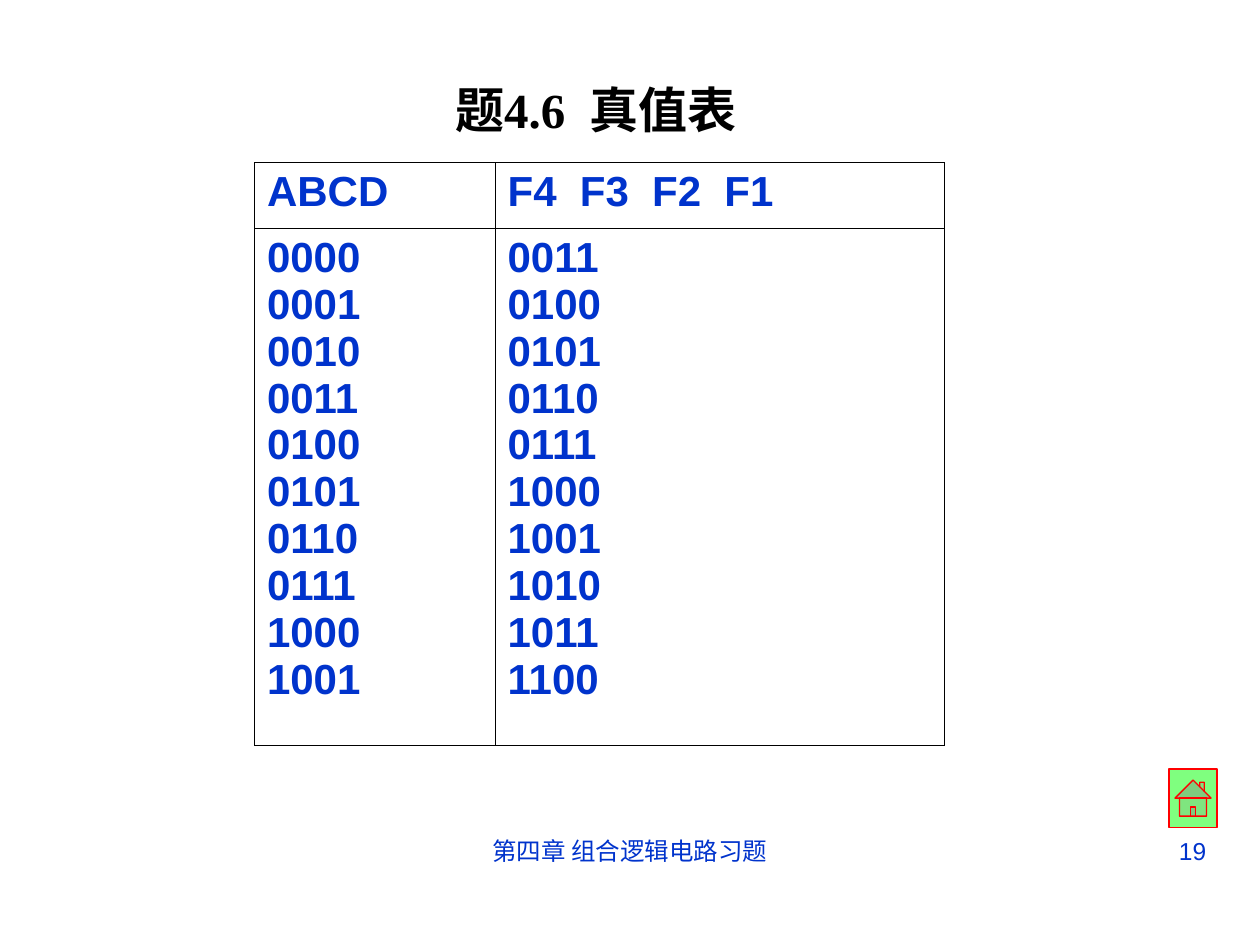
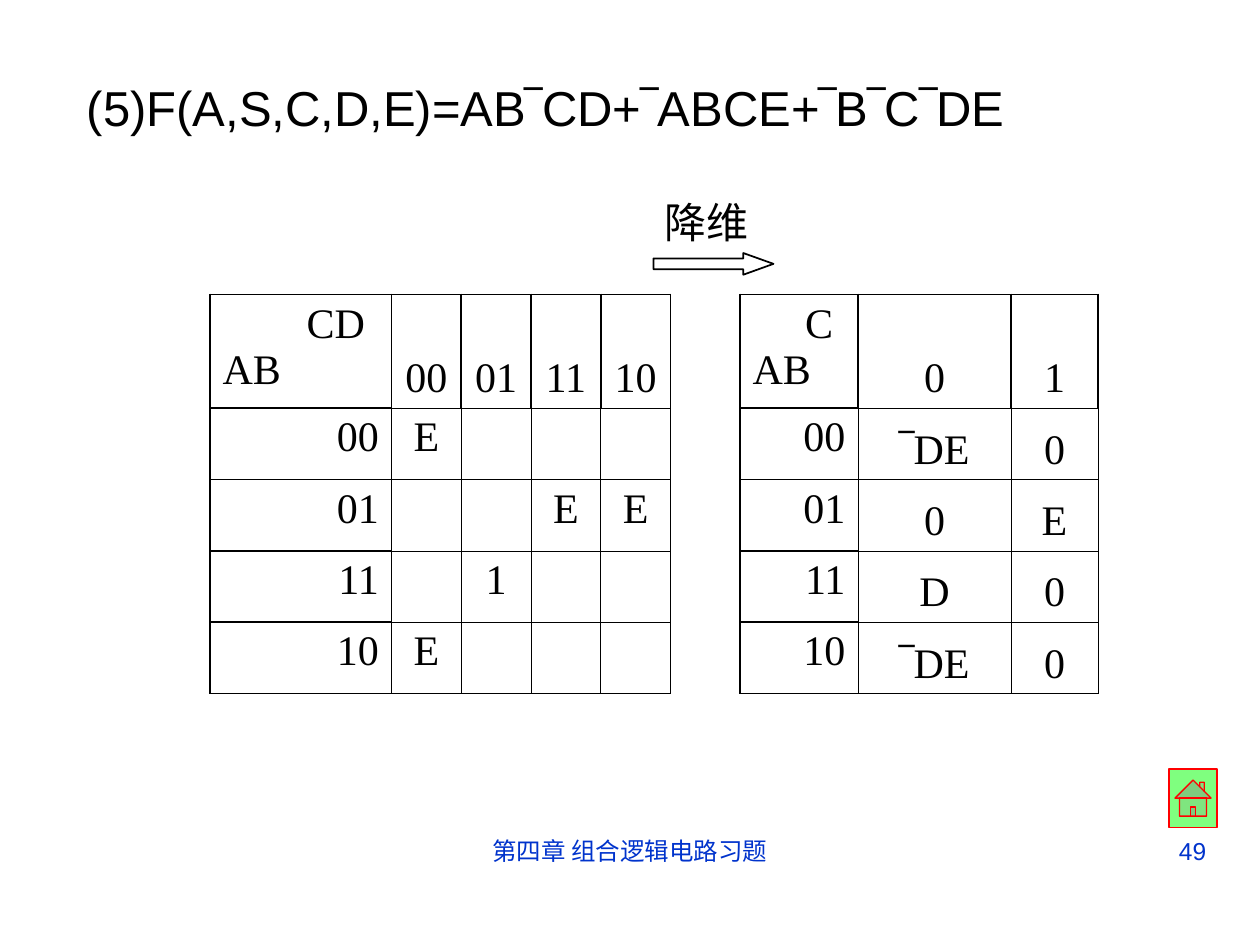
"""Build two exercise slides: a truth table and a Karnaugh map reduction."""
from lxml import etree
from pptx import Presentation
from pptx.dml.color import RGBColor
from pptx.enum.shapes import MSO_SHAPE
from pptx.enum.text import MSO_ANCHOR, MSO_AUTO_SIZE, PP_ALIGN
from pptx.oxml.ns import qn
from pptx.util import Pt

LEFT, CENTER, RIGHT = PP_ALIGN.LEFT, PP_ALIGN.CENTER, PP_ALIGN.RIGHT
TOP, MIDDLE, BOTTOM = MSO_ANCHOR.TOP, MSO_ANCHOR.MIDDLE, MSO_ANCHOR.BOTTOM
NO_FIT = MSO_AUTO_SIZE.NONE
HOME, ARROW = MSO_SHAPE.ACTION_BUTTON_HOME, MSO_SHAPE.RIGHT_ARROW
BLACK = RGBColor(0, 0, 0)
WHITE = RGBColor(255, 255, 255)
BLUE = RGBColor(0, 0x33, 0xCC)
GREEN = RGBColor(0, 255, 0)
RED = RGBColor(255, 0, 0)
SANS, SERIF = "Arial", "Times New Roman"
THIN, THICK = 0.45, 1.08


def add_run(p, text, size, font, color, bold=False, align=LEFT):
    p.alignment = align
    r = p.add_run()
    r.text = text
    r.font.size = Pt(size)
    r.font.name = font
    r.font.bold = bold
    r.font.color.rgb = color


def set_borders(cell, left, right, top, bottom):
    tcPr = cell._tc.get_or_add_tcPr()
    for side, width in zip("LRTB", (left, right, top, bottom)):
        ln = etree.SubElement(tcPr, qn(f"a:ln{side}"), w=str(int(Pt(width))))
        if width:
            fill = etree.SubElement(ln, qn("a:solidFill"))
            etree.SubElement(fill, qn("a:srgbClr"), val=str(BLACK))
        else:
            etree.SubElement(ln, qn("a:noFill"))
    cell.fill.background()


prs = Presentation()
prs.slide_width, prs.slide_height = Pt(720), Pt(540)

pages = [
    ("题4.6  真值表", SERIF, True, CENTER, TOP, (230.5, 41.8, 220, 41), "19"),
    ("(5)F(A,S,C,D,E)=AB‾CD+‾ABCE+‾B‾C‾DE", SANS, False, LEFT, MIDDLE,
     (42.5, 40.3, 580, 41), "49"),
]
for title, font, bold, align, anchor, box, number in pages:
    s = prs.slides.add_slide(prs.slide_layouts[5])
    sp = s.shapes.title
    sp.left, sp.top, sp.width, sp.height = map(Pt, box)
    tf = sp.text_frame
    tf.word_wrap = True
    tf.auto_size = NO_FIT
    tf.vertical_anchor = anchor
    add_run(tf.paragraphs[0], title, 28, font, BLACK, bold, align)

    sp = s.shapes.add_shape(HOME, Pt(668), Pt(439.4), Pt(27.5), Pt(33.4))
    sp.shadow.inherit = False
    sp.fill.solid()
    sp.fill.fore_color.rgb = GREEN
    color = sp._element.spPr.find(qn("a:solidFill"))[0]
    etree.SubElement(color, qn("a:alpha"), val="50000")
    sp.line.color.rgb = RED
    sp.line.width = Pt(0.75)

    for text, x, w, align in (("第四章 组合逻辑电路习题", 246, 228, CENTER),
                              (number, 516.4, 180, RIGHT)):
        tf = s.shapes.add_textbox(Pt(x), Pt(474), Pt(w), Pt(37.5)).text_frame
        tf.word_wrap = True
        add_run(tf.paragraphs[0], text, 14, SANS, BLUE, align=align)

truth_slide, map_slide = prs.slides

table = truth_slide.shapes.add_table(2, 2, Pt(145.4), Pt(92.9), Pt(394), Pt(333)).table
table.first_row = table.horz_banding = False
table.rows[0].height, table.rows[1].height = Pt(37.6), Pt(295.4)
table.columns[0].width, table.columns[1].width = Pt(137.5), Pt(256.5)
for col, (heading, offset) in enumerate((("ABCD", 0), ("F4  F3  F2  F1", 3))):
    codes = [f"{i + offset:04b}" for i in range(10)]
    for row, lines in enumerate(([heading], codes)):
        cell = table.cell(row, col)
        set_borders(cell, THIN, THIN, THIN, THIN)
        tf = cell.text_frame
        for i, line in enumerate(lines):
            p = tf.add_paragraph() if i else tf.paragraphs[0]
            add_run(p, line, 24, SANS, BLUE, True)

sp = map_slide.shapes.add_shape(ARROW, Pt(373.4), Pt(144.6), Pt(68.6), Pt(12.4))
sp.adjustments[0], sp.adjustments[1] = 0.5, 1.39
sp.shadow.inherit = False
sp.fill.solid()
sp.fill.fore_color.rgb = WHITE
sp.line.color.rgb = BLACK
sp.line.width = Pt(1)

map_rows = [
    ["CD", "00", "01", "11", "10", "", "C", "0", "1"],
    ["00", "E", "", "", "", "", "00", "‾DE", "0"],
    ["01", "", "", "E", "E", "", "01", "0", "E"],
    ["11", "", "1", "", "", "", "11", "D", "0"],
    ["10", "E", "", "", "", "", "10", "‾DE", "0"],
]
widths = [103.7] + [39.9] * 4 + [39.6, 67.5, 87.5, 49.6]
heights = [65] + [40.8] * 4
corner_indents = {0: 48, 6: 30}
GAP = 5
table = map_slide.shapes.add_table(5, 9, Pt(120), Pt(168.2), Pt(sum(widths)), Pt(sum(heights))).table
table.first_row = table.horz_banding = False
for column, width in zip(table.columns, widths):
    column.width = Pt(width)
for row, height in zip(table.rows, heights):
    row.height = Pt(height)
for row, texts in enumerate(map_rows):
    for col, text in enumerate(texts):
        cell = table.cell(row, col)
        header, label = row == 0, col in corner_indents
        if col == GAP:
            set_borders(cell, THICK if header else THIN, THICK, 0, 0)
            continue
        edge = THICK if header or label else THIN
        set_borders(cell, edge, THICK if header else THIN, edge, THICK if label else THIN)
        p = cell.text_frame.paragraphs[0]
        if header and label:
            p._p.get_or_add_pPr().set("marL", str(int(Pt(corner_indents[col]))))
            add_run(p, text, 24, SERIF, BLACK)
            add_run(cell.text_frame.add_paragraph(), "AB", 24, SERIF, BLACK)
            continue
        if header or col > GAP and not label:
            cell.vertical_anchor = BOTTOM
        align = RIGHT if label else CENTER
        if text.startswith("‾"):
            add_run(p, "‾", 24, SANS, BLACK, align=align)
            text = text[1:]
        if text:
            add_run(p, text, 24, SERIF, BLACK, align=align)

tf = map_slide.shapes.add_textbox(Pt(372.6), Pt(108.9), Pt(80), Pt(36)).text_frame
tf.word_wrap = True
add_run(tf.paragraphs[0], "降维", 24, SANS, BLACK)

prs.save("out.pptx")
